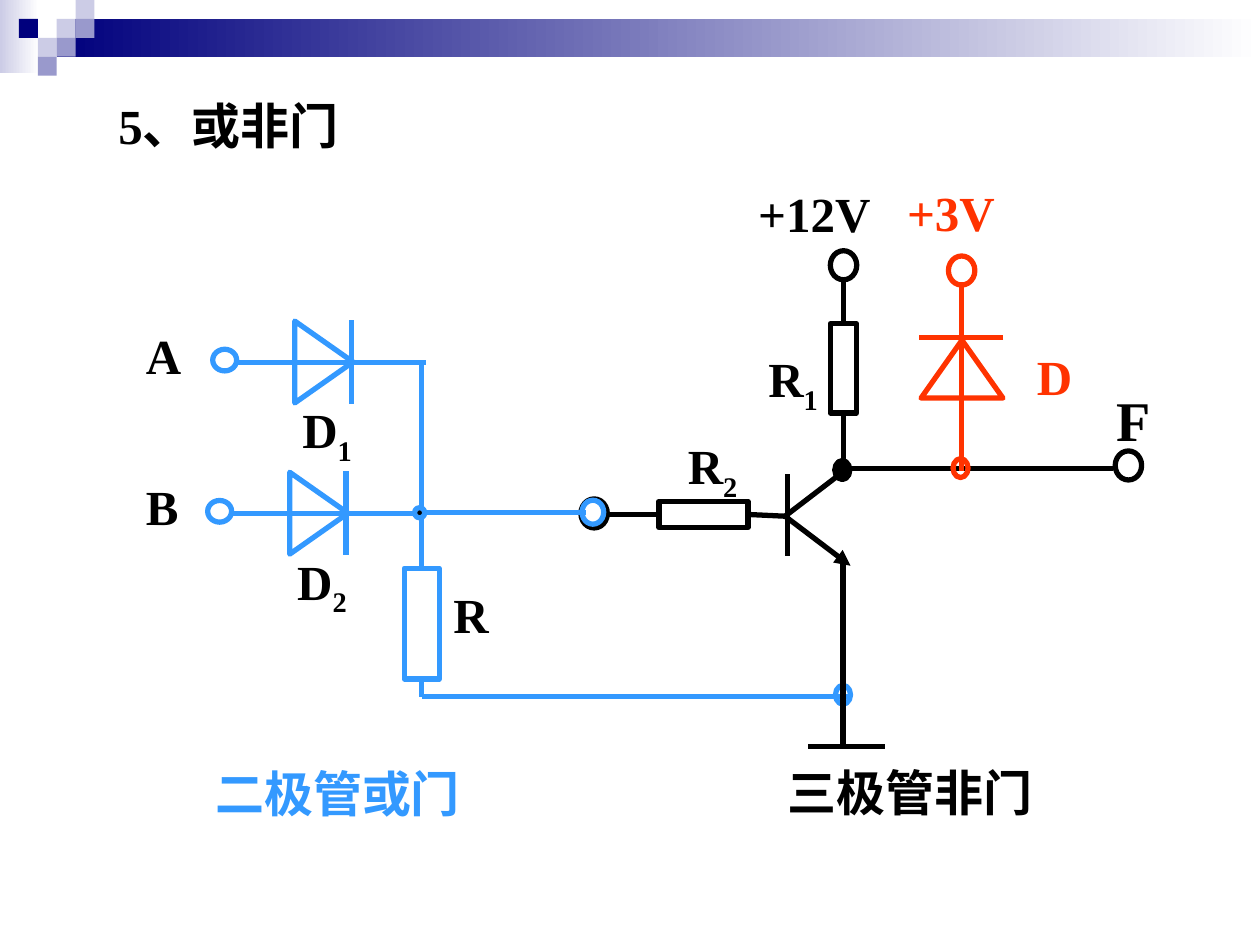
from lxml import etree
from pptx import Presentation, util as u
from pptx.dml.color import RGBColor
from pptx.enum import shapes, text
from pptx.oxml.ns import qn

BLACK = RGBColor(0x00, 0x00, 0x00)
WHITE = RGBColor(0xFF, 0xFF, 0xFF)
RED = RGBColor(0xFF, 0x33, 0x00)
BLUE = RGBColor(0x33, 0x99, 0xFF)
NAVY = RGBColor(0x00, 0x00, 0x7D)
LILAC = RGBColor(0xCC, 0xCC, 0xE6)
VIOLET = RGBColor(0x99, 0x99, 0xCC)
RECT = shapes.MSO_SHAPE.RECTANGLE
OVAL = shapes.MSO_SHAPE.OVAL
TRIANGLE = shapes.MSO_SHAPE.ISOSCELES_TRIANGLE
TOP, LEFT, BOTTOM, RIGHT = range(4)
CELL = 10.8


def add_run(p, content, size=28, color=BLACK, font="Times New Roman", sub=False):
    r = p.add_run()
    r.text = content
    r.font.size = u.Pt(size)
    r.font.name = font
    r.font.bold = True
    r.font.color.rgb = color
    if sub:
        r.font._element.set("baseline", "-25000")


class Circuit:
    def __init__(self, slide, weight=3):
        self.s = slide
        self.weight = u.Pt(weight)

    def shape(self, kind, x, y, w, h, line=None, fill=None, fade=None, rotation=0):
        sp = self.s.shapes.add_shape(kind, u.Pt(x), u.Pt(y), u.Pt(w), u.Pt(h))
        sp.shadow.inherit = False
        sp.rotation = rotation
        if fade is not None:
            sp.fill.gradient()
            sp.fill.gradient_angle = 0
            for stop, color, position in zip(sp.fill.gradient_stops, (fade, WHITE), (0, 1)):
                stop.color.rgb = color
                stop.position = position
        elif fill is not None:
            sp.fill.solid()
            sp.fill.fore_color.rgb = fill
        else:
            sp.fill.background()
        if line is None:
            sp.line.fill.background()
        else:
            sp.line.color.rgb = line
            sp.line.width = self.weight
        return sp

    def ring(self, cx, cy, w, h, color=BLACK, fill=None):
        return self.shape(OVAL, cx - w / 2, cy - h / 2, w, h, color, fill)

    def wire(self, x1, y1, x2, y2, color=BLACK, begin=None, end=None, arrow=False):
        line = self.s.shapes.add_connector(
            shapes.MSO_CONNECTOR.STRAIGHT, u.Pt(x1), u.Pt(y1), u.Pt(x2), u.Pt(y2))
        line.line.color.rgb = color
        line.line.width = self.weight
        if arrow:
            etree.SubElement(line.line._get_or_add_ln(), qn("a:tailEnd"), type="triangle")
        etree.SubElement(line._element.spPr, qn("a:effectLst"))
        if begin:
            line.begin_connect(*begin)
        if end:
            line.end_connect(*end)

    def label(self, content, x, y, w, sub="", h=41, **fmt):
        sp = self.s.shapes.add_textbox(u.Pt(x), u.Pt(y), u.Pt(w), u.Pt(h))
        tf = sp.text_frame
        tf.word_wrap = True
        tf.auto_size = text.MSO_AUTO_SIZE.SHAPE_TO_FIT_TEXT
        p = tf.paragraphs[0]
        add_run(p, content, **fmt)
        if sub:
            add_run(p, sub, sub=True, **fmt)

    def input_diode(self, x, y, name, number):
        self.wire(x + 13.5, y, x + 121.5, y, BLUE)
        self.ring(x + 6.7, y - 1.2, 13.7, 12.4, BLUE)
        self.wire(x + 79, y - 24, x + 79, y + 24, BLUE)
        self.shape(TRIANGLE, x + 40, y - 16.8, 46.8, 33.3, BLUE, rotation=90)
        self.label("D", x + 44, y + 18, 50, number)
        self.label(name, 76.3, y - 24.5, 43)


def decorate(c):
    c.shape(RECT, 0, 0, 22.3, 41.8, fade=LILAC)
    c.shape(RECT, 3 * CELL, CELL, 687.6, 21.6, fade=NAVY)
    for col, row, color in ((3, 1, LILAC), (4, 0, LILAC), (4, 1, VIOLET), (2, 2, LILAC),
                            (1, 1, NAVY), (3, 2, VIOLET), (2, 3, VIOLET)):
        c.shape(RECT, col * CELL, row * CELL, CELL, CELL, fill=color)


def draw_transistor(c):
    c.wire(450, 271, 450, 317.5)
    c.wire(448.6, 295, 486, 323.3, arrow=True)
    c.wire(448.6, 295, 486, 266.4)
    c.ring(481.3, 268.6, 8.6, 10.8, fill=BLACK)
    c.wire(481.7, 267.8, 635.8, 267.8)
    c.wire(462, 426.6, 505.5, 426.6)

    r2 = c.shape(RECT, 376.5, 286.5, 51, 15, BLACK)
    c.wire(427.5, 294, 448.6, 295, begin=(r2, RIGHT))
    c.wire(347, 294, 376.5, 294, end=(r2, LEFT))
    c.ring(339.5, 293.4, 15.1, 16.6)
    c.ring(644.8, 266, 15.1, 16.6)

    r1 = c.shape(RECT, 474.5, 185, 15, 51, BLACK)
    c.wire(482, 236, 482, 267.8, begin=(r1, BOTTOM))
    c.wire(482, 185, 482, 160, begin=(r1, TOP))
    c.ring(482, 151.6, 15.1, 16.6)

    c.label("R", 432, 195.8, 47, "1")
    c.label("R", 386, 245.5, 47, "2")
    c.label("F", 630.7, 216.7, 47.5, h=45, size=32)
    c.label("+12V", 426.2, 101.5, 90)
    c.label("三极管非门", 442.8, 432, 192)


def draw_clamp(c):
    c.wire(573.2, 193, 525.4, 193, RED)
    c.shape(TRIANGLE, 526.3, 194.4, 46.8, 33.1, RED)
    c.wire(549.4, 161.3, 549.4, 269.3, RED)
    c.ring(548.9, 267.5, 8.6, 10.8, RED)
    c.ring(549.5, 154.6, 15.1, 16.6, RED)
    c.label("D", 585.4, 194.4, 37.5, color=RED)
    c.label("+3V", 511.2, 100.8, 90, color=RED)


def draw_or_gate(c):
    c.input_diode(121.7, 207, "A", "1")
    c.input_diode(118.8, 293.4, "B", "2")
    c.wire(237, 293, 335, 293, BLUE)
    r = c.shape(RECT, 231, 324.7, 20, 63.3, BLUE)
    c.wire(241, 324.7, 241, 206, BLUE, begin=(r, TOP))
    c.wire(241, 398.2, 241, 388, BLUE, end=(r, BOTTOM))
    c.ring(239.8, 293, 5.8, 5.8, BLUE, BLACK)
    c.ring(338.8, 292.7, 12.4, 13.7, BLUE)
    c.label("R", 252, 330.5, 45.4)
    c.label("二极管或门", 115.9, 432.7, 188.6, color=BLUE)
    c.wire(241, 398.2, 484.6, 398.2, BLUE)
    c.ring(481.7, 397, 8.6, 10.8, BLUE)


def main():
    prs = Presentation()
    prs.slide_width, prs.slide_height = u.Pt(720), u.Pt(540)
    c = Circuit(prs.slides.add_slide(prs.slide_layouts[6]))
    decorate(c)
    draw_transistor(c)
    draw_clamp(c)
    draw_or_gate(c)
    c.wire(481.7, 319, 481.7, 426.6)
    c.label("5、或非门", 60.5, 51, 260.6)
    prs.save("out.pptx")


if __name__ == "__main__":
    main()
